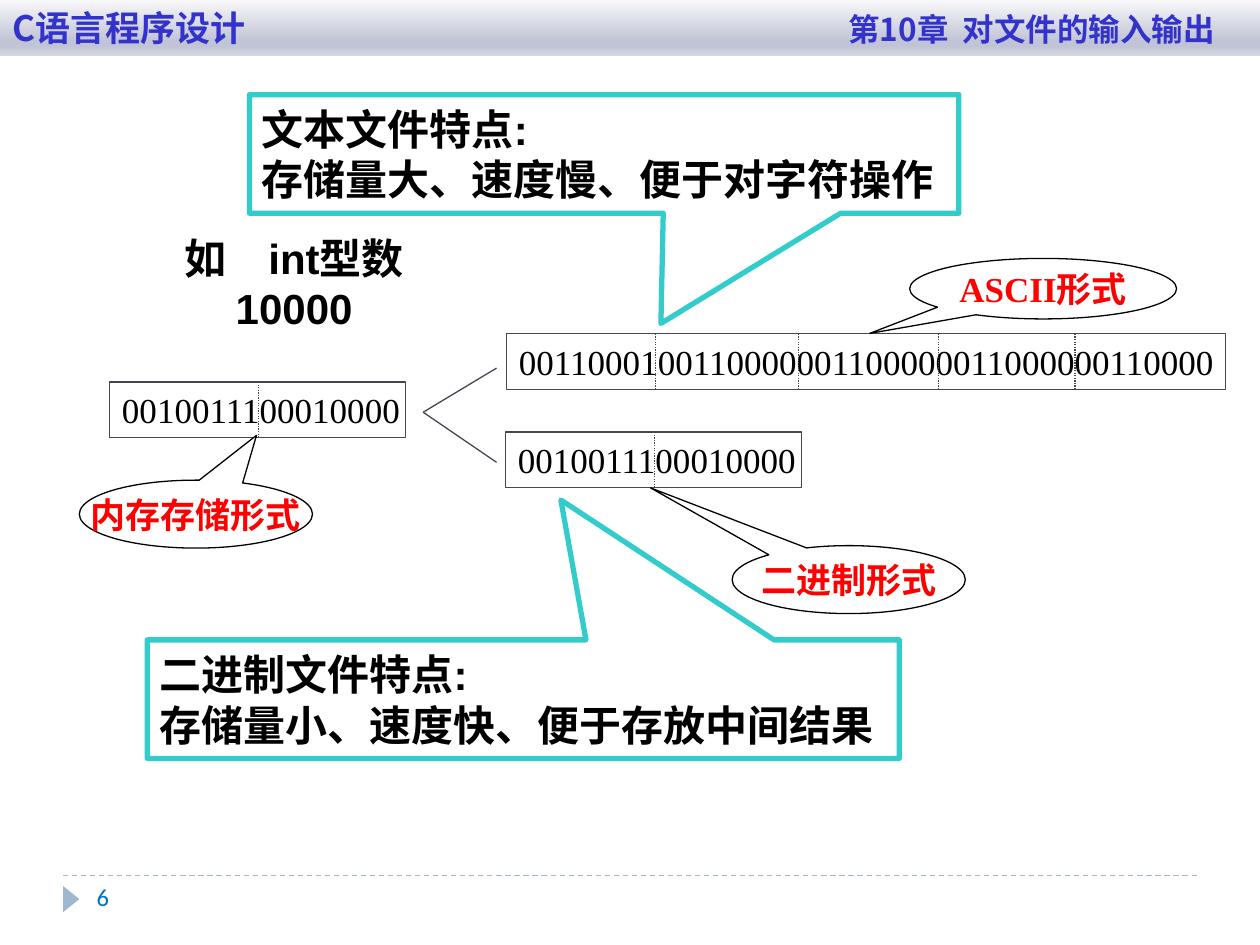
from lxml.etree import SubElement
from pptx import Presentation
from pptx.dml.color import RGBColor
from pptx.enum.dml import MSO_LINE
from pptx.enum.shapes import MSO_CONNECTOR, MSO_SHAPE
from pptx.enum.text import MSO_ANCHOR, PP_ALIGN
from pptx.oxml.ns import qn
from pptx.util import Cm, Pt

BLACK = RGBColor(0x00, 0x00, 0x00)
WHITE = RGBColor(0xFF, 0xFF, 0xFF)
RED = RGBColor(0xFF, 0x00, 0x00)
SLATE = RGBColor(0x46, 0x46, 0x53)
TEAL = RGBColor(0x33, 0xCC, 0xCC)
INDIGO = RGBColor(0x33, 0x33, 0xCC)
PALE_BLUE = RGBColor(0x9F, 0xB8, 0xCD)
PAGE_BLUE = RGBColor(0x00, 0x70, 0xC0)
HEADER_STOPS = [
    (0, "F8F8FA"),
    (74, "C0C4D6"),
    (83, "C0C4D6"),
    (100, "D5D8E3"),
]
CHINESE_FONT = "Noto Sans CJK JP"


def add_run(paragraph, text, size, color, font, bold=False):
    run = paragraph.add_run()
    run.text = text
    run.font.size = Pt(size)
    run.font.bold = bold
    run.font.name = font
    run.font.color.rgb = color
    SubElement(run.font._element, qn("a:ea")).set("typeface", CHINESE_FONT)


def add_box(slide, kind, left, top, width, height, line_color=None, line_width=0.75):
    shape = slide.shapes.add_shape(kind, Cm(left), Cm(top), Cm(width), Cm(height))
    shape.shadow.inherit = False
    shape.fill.solid()
    shape.fill.fore_color.rgb = WHITE
    if line_color is None:
        shape.line.fill.background()
    else:
        shape.line.color.rgb = line_color
        shape.line.width = Pt(line_width)
    frame = shape.text_frame
    frame.word_wrap = False
    frame.vertical_anchor = MSO_ANCHOR.MIDDLE
    frame.paragraphs[0].alignment = PP_ALIGN.LEFT
    return shape


def add_line(slide, x1, y1, x2, y2, color=SLATE, dash=None):
    line = slide.shapes.add_connector(
        MSO_CONNECTOR.STRAIGHT, Cm(x1), Cm(y1), Cm(x2), Cm(y2))
    line.line.color.rgb = color
    line.line.width = Pt(0.75)
    if dash is not None:
        line.line.dash_style = dash
    SubElement(line._element.spPr, qn("a:effectLst"))


def add_header(slide, left, top, width, height):
    """Gradient bar with the course on the left and the chapter at a right tab."""
    bar = add_box(slide, MSO_SHAPE.RECTANGLE, left, top, width, height)
    properties = bar._element.spPr
    properties.replace(properties.find(qn("a:solidFill")), make_gradient())
    frame = bar.text_frame
    frame.word_wrap = True
    frame.margin_top = frame.margin_bottom = 0
    paragraph = frame.paragraphs[0]
    tabs = SubElement(paragraph._p.get_or_add_pPr(), qn("a:tabLst"))
    tab = SubElement(tabs, qn("a:tab"))
    tab.set("pos", str(Cm(width - 1.16)))
    tab.set("algn", "r")
    add_run(paragraph, "C语言程序设计\t", 20, INDIGO, CHINESE_FONT, True)
    add_run(paragraph, "第10章  对文件的输入输出", 18, INDIGO, CHINESE_FONT, True)


def make_gradient():
    holder = SubElement(Presentation().slides._sldIdLst, qn("a:gradFill"))
    stops = SubElement(holder, qn("a:gsLst"))
    for percent, color in HEADER_STOPS:
        stop = SubElement(stops, qn("a:gs"))
        stop.set("pos", str(percent * 1000))
        SubElement(stop, qn("a:srgbClr")).set("val", color)
    SubElement(holder, qn("a:lin")).set("ang", "5400000")
    return holder


def add_example(slide, left, top, width, height):
    box = slide.shapes.add_textbox(Cm(left), Cm(top), Cm(width), Cm(height))
    frame = box.text_frame
    frame.word_wrap = True
    frame.vertical_anchor = MSO_ANCHOR.MIDDLE
    paragraph = frame.paragraphs[0]
    paragraph.alignment = PP_ALIGN.CENTER
    add_run(paragraph, "如　int型数", 24, BLACK, "Arial", True)
    paragraph.add_line_break()
    add_run(paragraph, "10000", 24, BLACK, "Arial", True)


def add_bit_row(slide, left, top, width, height, bits, dividers):
    """Row of bits; dividers are byte borders measured from its left edge."""
    row = add_box(slide, MSO_SHAPE.RECTANGLE, left, top, width, height, SLATE)
    add_run(row.text_frame.paragraphs[0], bits, 20, BLACK, "Times New Roman")
    for offset in dividers:
        add_line(slide, left + offset, top, left + offset, top + height,
                 dash=MSO_LINE.ROUND_DOT)


def add_label(slide, left, top, width, height, text, pointer):
    """Oval callout; pointer is the tip, as shares of its size from the centre."""
    label = add_box(slide, MSO_SHAPE.OVAL_CALLOUT, left, top, width, height, BLACK)
    label.adjustments[0], label.adjustments[1] = pointer
    paragraph = label.text_frame.paragraphs[0]
    paragraph.alignment = PP_ALIGN.CENTER
    add_run(paragraph, text, 20, RED, "Times New Roman", True)


def add_fork(slide, left, top, width, height):
    middle = top + 0.89
    for end in (top, top + height):
        add_line(slide, left, middle, left + width, end)


def add_features(slide, left, top, width, height, title, features, pointer):
    callout = add_box(slide, MSO_SHAPE.RECTANGULAR_CALLOUT,
                      left, top, width, height, TEAL, 3)
    callout.adjustments[0], callout.adjustments[1] = pointer
    frame = callout.text_frame
    add_run(frame.paragraphs[0], title, 24, BLACK, "Arial", True)
    paragraph = frame.add_paragraph()
    paragraph.alignment = PP_ALIGN.LEFT
    add_run(paragraph, features, 24, BLACK, "Arial", True)


def add_footer(slide, left, top, width, page):
    add_line(slide, left, top, left + width, top, PALE_BLUE, MSO_LINE.DASH)
    marker = add_box(slide, MSO_SHAPE.ISOSCELES_TRIANGLE,
                     left - 0.1, top + 0.31, 0.53, 0.33)
    marker.rotation = 90
    marker.fill.fore_color.rgb = PALE_BLUE
    number = slide.shapes.add_textbox(Cm(left + 0.43), Cm(top), Cm(5.51), Cm(1.02))
    number.text_frame.word_wrap = True
    add_run(number.text_frame.paragraphs[0], page, 14, PAGE_BLUE, "Calibri")


def main():
    presentation = Presentation()
    presentation.slide_width = Cm(25.4)
    presentation.slide_height = Cm(19.05)
    slide = presentation.slides.add_slide(presentation.slide_layouts[6])

    add_footer(slide, 1.27, 17.65, 22.86, "6")
    add_example(slide, 2.41, 4.7, 7.04, 2)

    number_bits = "0010011100010000"
    ascii_bits = "00110001" + "00110000" * 4
    add_bit_row(slide, 2.21, 7.7, 5.97, 1.12, number_bits, [3])
    add_label(slide, 1.6, 9.68, 4.7, 1.37, "内存存储形式", (0.26, -1.16))
    add_bit_row(slide, 10.19, 8.71, 5.97, 1.12, number_bits, [3])
    add_label(slide, 14.76, 11, 4.7, 1.37, "二进制形式", (-0.85, -1.35))
    add_bit_row(slide, 10.21, 6.73, 14.5, 1.12, ascii_bits, [3, 5.89, 8.71, 11.46])
    add_label(slide, 18.34, 5.21, 5.38, 1.22, "ASCII形式", (-0.65, 0.74))
    add_fork(slide, 8.53, 7.42, 1.48, 1.9)

    add_features(slide, 5.03, 1.91, 14.3, 2.39, "文本文件特点:",
                 "存储量大、速度慢、便于对字符操作", (0.08, 1.43))
    add_features(slide, 2.97, 12.9, 15.16, 2.39, "二进制文件特点:",
                 "存储量小、速度快、便于存放中间结果", (0.05, -1.68))
    add_header(slide, 0, 0, 25.4, 1.12)
    presentation.save("out.pptx")


if __name__ == "__main__":
    main()
